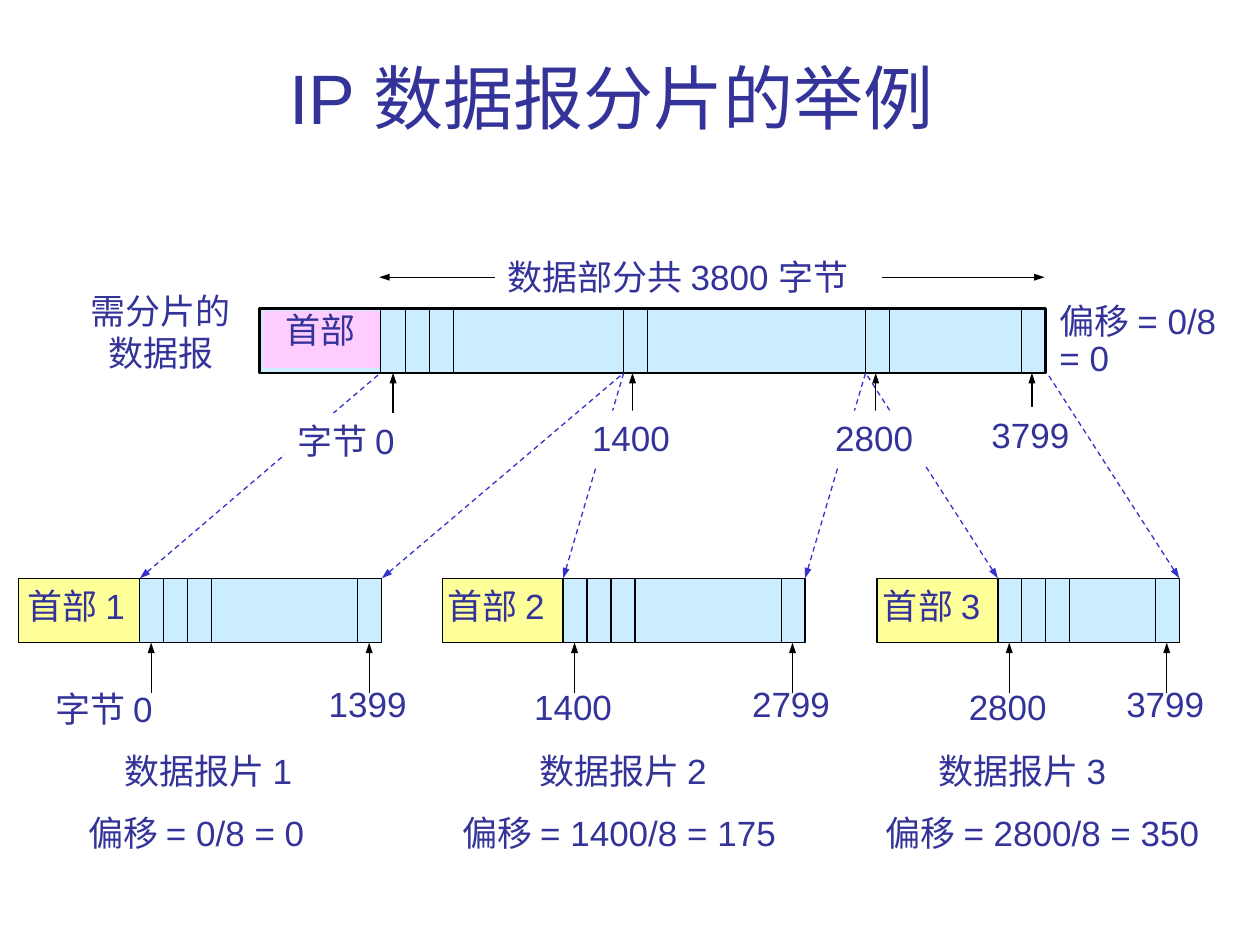
from dataclasses import dataclass

from lxml.etree import SubElement
from pptx import Presentation
from pptx.dml.color import RGBColor
from pptx.enum.dml import MSO_LINE
from pptx.enum.shapes import MSO_CONNECTOR as Connector, MSO_SHAPE as Shape
from pptx.enum.text import MSO_ANCHOR as Anchor, MSO_AUTO_SIZE as AutoSize, PP_ALIGN as Align
from pptx.oxml.ns import qn
from pptx.util import Inches, Pt

INK, BLACK, WHITE = "333399", "000000", "FFFFFF"
DATA, DASH = "CCECFF", "3333CC"
CELL, HEADER, BAR_HEIGHT = 0.19, 0.96, 0.51
MAIN_TOP, FRAGMENT_TOP = 2.45, 4.59


@dataclass
class Label:
    text: str
    left: float
    top: float
    width: float
    height: float = 0.44
    size: int = 20
    align: Align = Align.LEFT
    fill: str = ""


@dataclass
class Marker:
    text: str
    x: float
    rise: float


@dataclass
class Fragment:
    number: int
    left: float
    width: float
    cuts: tuple[float, float]
    first: str
    last: str
    header_left: float
    caption_left: float
    offset: Label

    @property
    def right(self) -> float:
        return self.left + self.width


FRAGMENTS = [
    Fragment(1, 1.11, 1.92, (3.02, 4.95), "字节 0", "1399", 0.12, 0.89,
             Label("偏移 = 0/8 = 0", 0.6, 6.39, 2.02)),
    Fragment(2, 4.47, 1.92, (4.95, 6.87), "1400", "2799", 3.45, 4.18,
             Label("偏移 = 1400/8 = 175", 3.57, 6.39, 2.8)),
    Fragment(3, 7.92, 1.44, (6.87, 8.31), "2800", "3799", 6.91, 7.35,
             Label("偏移 = 2800/8 = 350", 6.93, 6.39, 2.8)),
]
MAIN_MARKERS = [
    Marker("字节 0", 3.12, 0.08),
    Marker("1400", 5.02, 0.1),
    Marker("2800", 6.95, 0.1),
]
MAIN_DIVIDERS = [3.02, 3.22, 3.41, 3.6, 4.95, 5.14, 6.87, 7.06, 8.11]


def colour(value: str) -> RGBColor:
    return RGBColor.from_string(value)


def draw_box(page, left: float, top: float, width: float, height: float,
             fill: str, line: float = 0.75) -> None:
    box = page.shapes.add_shape(Shape.RECTANGLE, Inches(left), Inches(top),
                                Inches(width), Inches(height))
    box.shadow.inherit = False
    box.fill.solid()
    box.fill.fore_color.rgb = colour(fill)
    if line:
        box.line.color.rgb = colour(BLACK)
        box.line.width = Pt(line)
    else:
        box.line.fill.background()


def draw_line(page, start: tuple[float, float], end: tuple[float, float],
              ends: tuple[str, ...] = (), dashed: bool = False) -> None:
    line = page.shapes.add_connector(Connector.STRAIGHT, Inches(start[0]), Inches(start[1]),
                                     Inches(end[0]), Inches(end[1]))
    line.line.color.rgb = colour(DASH if dashed else BLACK)
    line.line.width = Pt(0.75)
    if dashed:
        line.line.dash_style = MSO_LINE.DASH
    outline = line.line._get_or_add_ln()
    for name in ends:
        SubElement(outline, qn(f"a:{name}"), type="triangle", w="sm", len="med")
    SubElement(line._element.spPr, qn("a:effectLst"))


def draw_label(page, label: Label):
    box = page.shapes.add_textbox(Inches(label.left), Inches(label.top),
                                  Inches(label.width), Inches(label.height))
    if label.fill:
        box.fill.solid()
        box.fill.fore_color.rgb = colour(label.fill)
    frame = box.text_frame
    frame.text = label.text
    frame.word_wrap = False
    frame.auto_size = AutoSize.SHAPE_TO_FIT_TEXT
    for para in frame.paragraphs:
        para.alignment = label.align
        para.font.name = "Arial"
        para.font.size = Pt(label.size)
        para.font.color.rgb = colour(INK)
    return frame


def draw_dividers(page, top: float, positions: list[float]) -> None:
    for x in positions:
        draw_line(page, (x, top), (x, top + BAR_HEIGHT))


def draw_marker(page, marker: Marker, bar_top: float, fill: str = "") -> None:
    tip = bar_top + BAR_HEIGHT
    end = tip + 0.4
    draw_line(page, (marker.x, end), (marker.x, tip), ("tailEnd",))
    reach, width = (0.42, 0.85) if marker.text.isdigit() else (0.86, 1.07)
    draw_label(page, Label(marker.text, marker.x - reach, end - marker.rise, width, fill=fill))


def draw_fragment(page, part: Fragment) -> None:
    draw_box(page, part.left, FRAGMENT_TOP, part.width, BAR_HEIGHT, DATA)
    draw_box(page, part.left - HEADER, FRAGMENT_TOP, HEADER, BAR_HEIGHT, "FFFF99")
    draw_dividers(page, FRAGMENT_TOP,
                  [part.left + CELL * step for step in (1, 2, 3)] + [part.right - CELL])
    for x, cut in zip((part.left, part.right), part.cuts):
        draw_line(page, (x, FRAGMENT_TOP), (cut, MAIN_TOP + BAR_HEIGHT), ("headEnd",), True)
    first_rise = 0.11 if part.first.isdigit() else 0.09
    draw_marker(page, Marker(part.first, part.left + 0.09, first_rise), FRAGMENT_TOP)
    draw_marker(page, Marker(part.last, part.right - 0.1, 0.13), FRAGMENT_TOP)
    draw_label(page, Label(f"首部 {part.number}", part.header_left, FRAGMENT_TOP, 1.07))
    draw_label(page, Label(f"数据报片 {part.number}", part.caption_left, 5.9, 1.63))
    draw_label(page, part.offset)


def draw_datagram(page) -> None:
    draw_box(page, 2.06, MAIN_TOP, 6.24, BAR_HEIGHT, DATA, 1.5)
    draw_box(page, 2.09, 2.47, 0.93, 0.45, "FFCCFF", 0)
    draw_dividers(page, MAIN_TOP, MAIN_DIVIDERS)
    draw_line(page, (3.01, 2.2), (8.29, 2.2), ("headEnd", "tailEnd"))
    draw_label(page, Label("数据部分共 3800 字节", 3.93, 1.98, 3.07, fill=WHITE))
    draw_label(page, Label("首部", 2.17, 2.4, 0.79))
    draw_label(page, Label("需分片的\n数据报", 0.6, 2.25, 1.35, 0.77, align=Align.CENTER))
    offset = draw_label(page, Label("偏移 = 0/8\n= 0", 8.31, 2.33, 1.54, 0.74))
    offset.paragraphs[1].line_spacing = 0.9


def main() -> None:
    deck = Presentation()
    deck.slide_width, deck.slide_height = Inches(10), Inches(7.5)
    page = deck.slides.add_slide(deck.slide_layouts[6])
    title = draw_label(page, Label("IP 数据报分片的举例", 0.59, 0.39, 8.52, 0.76, 40, Align.CENTER))
    title.word_wrap = True
    title.auto_size = AutoSize.NONE
    title.vertical_anchor = Anchor.BOTTOM
    draw_datagram(page)
    draw_marker(page, Marker("3799", 8.19, 0.13), MAIN_TOP, WHITE)
    for part in FRAGMENTS:
        draw_fragment(page, part)
    for marker in MAIN_MARKERS:
        draw_marker(page, marker, MAIN_TOP, WHITE)
    deck.save("out.pptx")


if __name__ == "__main__":
    main()
